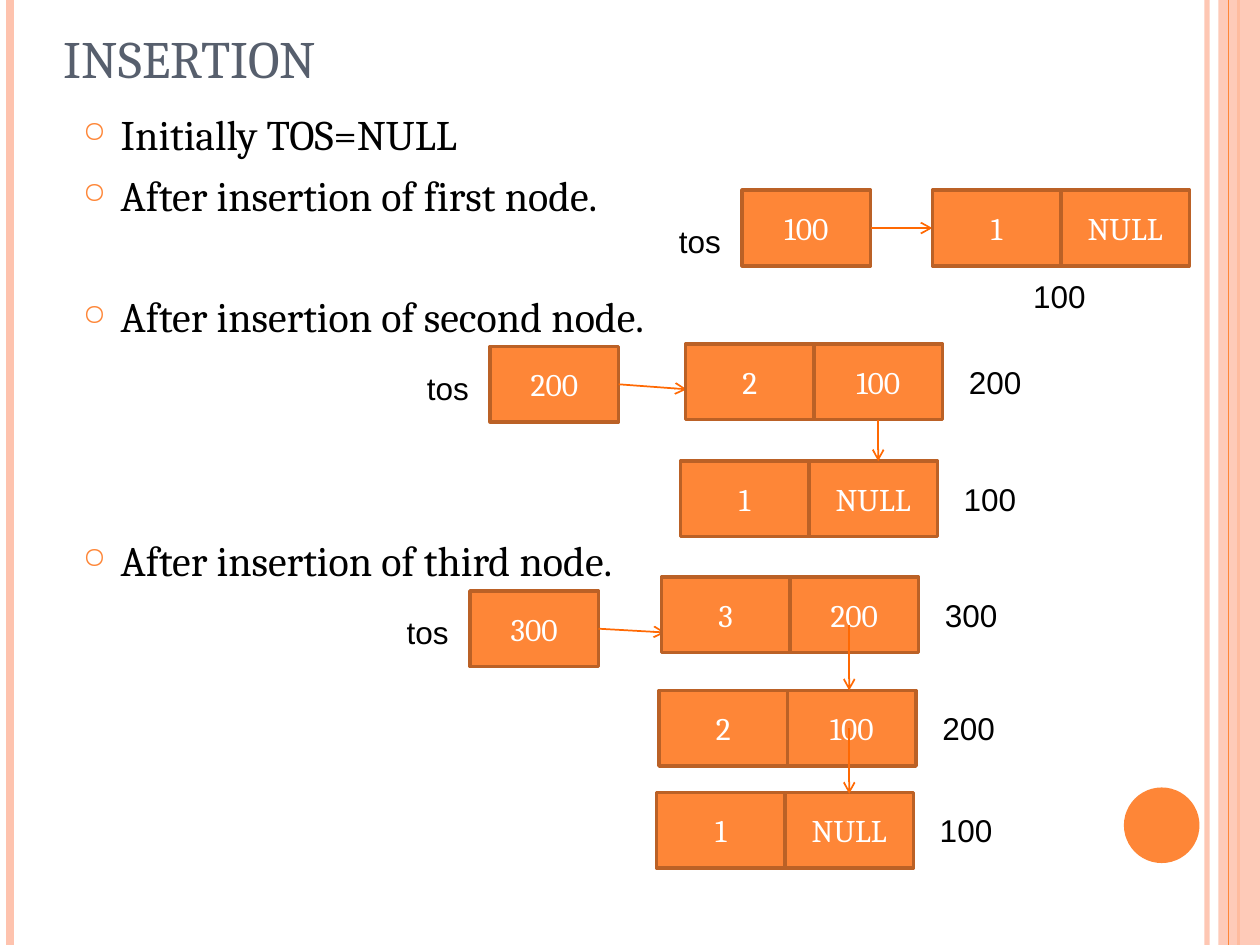
from lxml import etree
from pptx import Presentation
from pptx.dml.color import RGBColor
from pptx.enum import shapes, text
from pptx.oxml.ns import qn
from pptx.util import Inches, Pt

ORANGE, PEACH, BROWN, ARROW = "FE8637", "FEC3AE", "BB6126", "FF6903"
CELL_W, CELL_H = 1.02, 0.6


def color(hex_code):
    return RGBColor.from_string(hex_code)


def set_alpha(fill_parent, percent):
    """Make the solid fill found under an element partly transparent."""
    srgb = next(fill_parent.iter(qn("a:srgbClr")))
    etree.SubElement(srgb, qn("a:alpha")).set("val", str(percent * 1000))


def format_runs(paragraph, size, font, hex_code):
    for run in paragraph.runs:
        run.font.size = Pt(size)
        run.font.name = font
        run.font.color.rgb = color(hex_code)


def add_line(slide, start, end, hex_code, width):
    line = slide.shapes.add_connector(
        shapes.MSO_CONNECTOR.STRAIGHT, *map(Inches, (*start, *end)))
    line.line.color.rgb = color(hex_code)
    line.line.width = Pt(width)
    etree.SubElement(line._element.spPr, qn("a:effectLst"))
    return line


def add_arrow(slide, start, end):
    arrow = add_line(slide, start, end, ARROW, 1)
    etree.SubElement(arrow.line._get_or_add_ln(), qn("a:tailEnd")).set("type", "arrow")


def add_filled(slide, kind, box, hex_code):
    shape = slide.shapes.add_shape(kind, *map(Inches, box))
    shape.shadow.inherit = False
    shape.fill.solid()
    shape.fill.fore_color.rgb = color(hex_code)
    shape.line.fill.background()
    return shape


def add_text(slide, box, lines, size, font, hex_code):
    frame = slide.shapes.add_textbox(*map(Inches, box)).text_frame
    frame.word_wrap = True
    frame.text = "\n".join(lines)
    for paragraph in frame.paragraphs:
        format_runs(paragraph, size, font, hex_code)
    return frame


def add_label(slide, left, top, width, words):
    add_text(slide, (left, top, width, 0.4), [words], 18, "Arial", "000000")


def add_cell(slide, left, top, words):
    cell = add_filled(slide, shapes.MSO_SHAPE.RECTANGLE,
                      (left, top, CELL_W, CELL_H), ORANGE)
    cell.line.color.rgb = color(BROWN)
    cell.line.width = Pt(2)
    frame = cell.text_frame
    frame.text = words
    frame.vertical_anchor = text.MSO_ANCHOR.MIDDLE
    frame.paragraphs[0].alignment = text.PP_ALIGN.CENTER
    format_runs(frame.paragraphs[0], 18, "Cambria", "FFFFFF")


def add_frame(slide, width, height):
    """Draw the side stripes and the corner disc."""
    def stripe(x, hex_code, weight):
        return add_line(slide, (x, 0), (x, height), hex_code, weight)

    inner = stripe(width - 0.42, PEACH, 3)
    set_alpha(inner._element.spPr, 93)
    stripe(0.08, PEACH, 4.5)
    stripe(width - 0.17, ORANGE, 1.5)
    band = add_filled(slide, shapes.MSO_SHAPE.RECTANGLE,
                      (width - 0.33, 0, 0.33, height), PEACH)
    set_alpha(band._element.spPr, 87)
    stripe(width - 0.25, ORANGE, 0.75)
    add_filled(slide, shapes.MSO_SHAPE.OVAL,
               (width - 1.08, height - 1.25, 0.6, 0.6), ORANGE)


def add_title(slide, box):
    frame = add_text(slide, box, ["INSERTION"], 30, "Cambria", "575F6D")
    frame.vertical_anchor = text.MSO_ANCHOR.BOTTOM


def add_steps(slide, box):
    # Each step leaves room below it for its diagram.
    steps = {
        "Initially TOS=NULL": 6,
        "After insertion of first node.": 6,
        "After insertion of second node.": 40.8,
        "After insertion of third node.": 110.4,
    }
    frame = add_text(slide, box, steps, 24, "Cambria", "000000")
    for paragraph, space in zip(frame.paragraphs, steps.values()):
        paragraph.space_before = Pt(space)
        props = paragraph._p.get_or_add_pPr()
        props.set("marL", str(Inches(0.3)))
        props.set("indent", str(-Inches(0.3)))
        bullet_color = etree.SubElement(props, qn("a:buClr"))
        etree.SubElement(bullet_color, qn("a:srgbClr")).set("val", ORANGE)
        etree.SubElement(props, qn("a:buSzPct")).set("val", "70000")
        etree.SubElement(props, qn("a:buChar")).set("char", "○")


def add_stack(slide, left, top, nodes, pointer_end, tos_drop=0.13,
              address_offset=(2.15, 0.1), link_x=0, links=()):
    """Draw tos and its linked nodes; every offset is taken from the tos cell.

    nodes holds (dx, dy) from the top of the stack down, links (start, end) heights.
    """
    add_cell(slide, left, top, str(len(nodes) * 100))
    add_label(slide, left - 0.6, top + tos_drop, 0.6, "tos")
    add_arrow(slide, (left + CELL_W, top + CELL_H / 2),
              (left + pointer_end[0], top + pointer_end[1]))
    for data, (dx, dy) in enumerate(reversed(nodes), start=1):
        x, y = left + dx, top + dy
        following = str((data - 1) * 100) if data > 1 else "NULL"
        add_cell(slide, x, y, str(data))
        add_cell(slide, x + CELL_W, y, following)
        add_label(slide, x + address_offset[0], y + address_offset[1],
                  1.02, str(data * 100))
    for start, end in links:
        add_arrow(slide, (left + link_x, top + start), (left + link_x, top + end))


def main():
    width, height = 10, 7.5
    deck = Presentation()
    deck.slide_width, deck.slide_height = Inches(width), Inches(height)
    slide = deck.slides.add_slide(deck.slide_layouts[6])

    add_frame(slide, width, height)
    add_title(slide, (0.41, 0.1, 8.17, 0.66))
    add_steps(slide, (0.56, 0.81, 8.17, 5.33))
    add_stack(slide, 5.89, 1.51, [(1.51, 0)], (1.51, 0.3),
              tos_drop=0.2, address_offset=(0.7, 0.64))
    add_stack(slide, 3.89, 2.75, [(1.55, -0.02), (1.51, 0.91)], (1.56, 0.34),
              link_x=3.08, links=[(0.58, 0.91)])
    add_stack(slide, 3.73, 4.69, [(1.52, -0.11), (1.5, 0.79), (1.48, 1.6)],
              (1.55, 0.33), link_x=3.01, links=[(0.27, 0.79), (1.09, 1.61)])
    deck.save("out.pptx")


if __name__ == "__main__":
    main()
